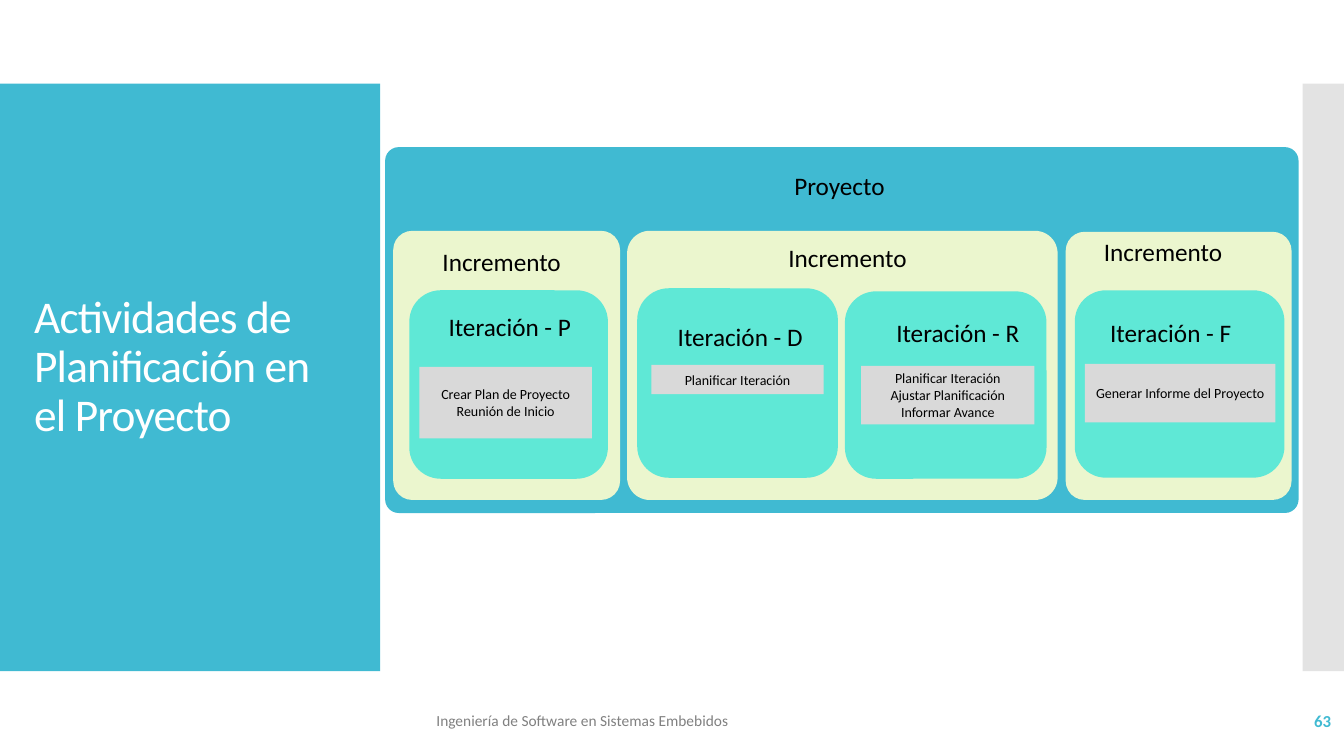
"""Build the slide on planning activities across a project's increments and iterations."""
from dataclasses import dataclass

from lxml import etree
from pptx import Presentation
from pptx.dml.color import RGBColor
from pptx.enum.shapes import MSO_SHAPE
from pptx.enum.text import MSO_ANCHOR, PP_ALIGN
from pptx.oxml.ns import qn
from pptx.util import Emu, Pt

RECT, ROUND = MSO_SHAPE.RECTANGLE, MSO_SHAPE.ROUNDED_RECTANGLE
LEFT, CENTER, RIGHT = PP_ALIGN.LEFT, PP_ALIGN.CENTER, PP_ALIGN.RIGHT
TOP, MIDDLE = MSO_ANCHOR.TOP, MSO_ANCHOR.MIDDLE
PX = 9144


@dataclass(frozen=True)
class Theme:
    font: str = "Calibri"
    accent: str = "40BAD2"
    increment: str = "EBF6CE"
    iteration: str = "5FE8D6"
    activity: str = "D9D9D9"
    strip: str = "C8C8C8"
    footer: str = "808080"
    black: str = "000000"
    white: str = "FFFFFF"
    title_size: float = 32.4
    label_size: int = 18
    activity_size: int = 10
    footer_size: int = 11
    number_size: int = 12


theme = Theme()
prs = Presentation()
prs.slide_width, prs.slide_height = Emu(1333 * PX), Emu(750 * PX)
s = prs.slides.add_slide(prs.slide_layouts[6])


def add_block(box, fill, kind=RECT, corner=None):
    sp = s.shapes.add_shape(kind, *(Emu(v * PX) for v in box))
    sp.shadow.inherit = False
    sp.fill.solid()
    sp.fill.fore_color.rgb = RGBColor.from_string(fill)
    sp.line.fill.background()
    if corner is not None:
        sp.adjustments[0] = corner
    return sp


def write(sp, text, size, color=theme.black, align=LEFT, anchor=MIDDLE, wrap=True):
    tf = sp.text_frame
    tf.text = text
    tf.word_wrap = wrap
    tf.vertical_anchor = anchor
    for p in tf.paragraphs:
        p.alignment = align
        for r in p.runs:
            r.font.name = theme.font
            r.font.size = Pt(size)
            r.font.color.rgb = RGBColor.from_string(color)
    return tf.paragraphs[0]


add_block((0, 83, 377, 583), theme.accent)
strip = add_block((1292, 83, 42, 583), theme.strip)
color = strip.fill._xPr.find(qn("a:solidFill"))[0]
etree.SubElement(color, qn("a:alpha")).set("val", "50000")

add_block((382, 146, 906, 363), theme.accent, ROUND, 0.037)

increments = [(390, 229, 225, 267), (622, 229, 427, 267), (1057, 230, 224, 266)]
for box in increments:
    add_block(box, theme.increment, ROUND, 0.084)

iterations = [
    ((406, 288, 197, 187), (416, 364, 171, 71), "Crear Plan de Proyecto\nReunión de Inicio"),
    ((632, 286, 199, 188), (646, 362, 171, 29), "Planificar Iteración"),
    ((838, 289, 200, 186), (854, 363, 172, 58),
     "Planificar Iteración\nAjustar Planificación\nInformar Avance"),
    ((1066, 288, 208, 186), (1076, 361, 189, 58), "Generar Informe del Proyecto"),
]
for box, activity_box, activities in iterations:
    add_block(box, theme.iteration, ROUND)
    sp = add_block(activity_box, theme.activity)
    write(sp, activities, theme.activity_size, align=CENTER)

labels = [
    ("Proyecto", 778, 164, 115, LEFT),
    ("Incremento", 429, 239, 141, LEFT),
    ("Incremento", 772, 236, 141, LEFT),
    ("Incremento", 1085, 230, 146, LEFT),
    ("Iteración - P", 435, 304, 145, LEFT),
    ("Iteración - D", 658, 314, 148, RIGHT),
    ("Iteración - R", 875, 310, 146, RIGHT),
    ("Iteración - F", 1089, 310, 142, RIGHT),
]
for text, x, y, w, align in labels:
    sp = s.shapes.add_textbox(*(Emu(v * PX) for v in (x, y, w, 40)))
    write(sp, text, theme.label_size, align=align, anchor=TOP, wrap=False)

sp = s.shapes.add_textbox(*(Emu(v * PX) for v in (24, 296, 328, 137)))
p = write(sp, "Actividades de Planificación en el Proyecto", theme.title_size, theme.white)
p.line_spacing = 0.9
p.runs[0]._r.get_or_add_rPr().set("spc", "-60")

sp = s.shapes.add_textbox(*(Emu(v * PX) for v in (423, 695, 646, 40)))
write(sp, "Ingeniería de Software en Sistemas Embebidos", theme.footer_size, theme.footer)

sp = s.shapes.add_textbox(*(Emu(v * PX) for v in (1163, 695, 167, 40)))
p = write(sp, "63", theme.number_size, theme.accent, RIGHT)
p.runs[0].font.bold = True

prs.save("out.pptx")
